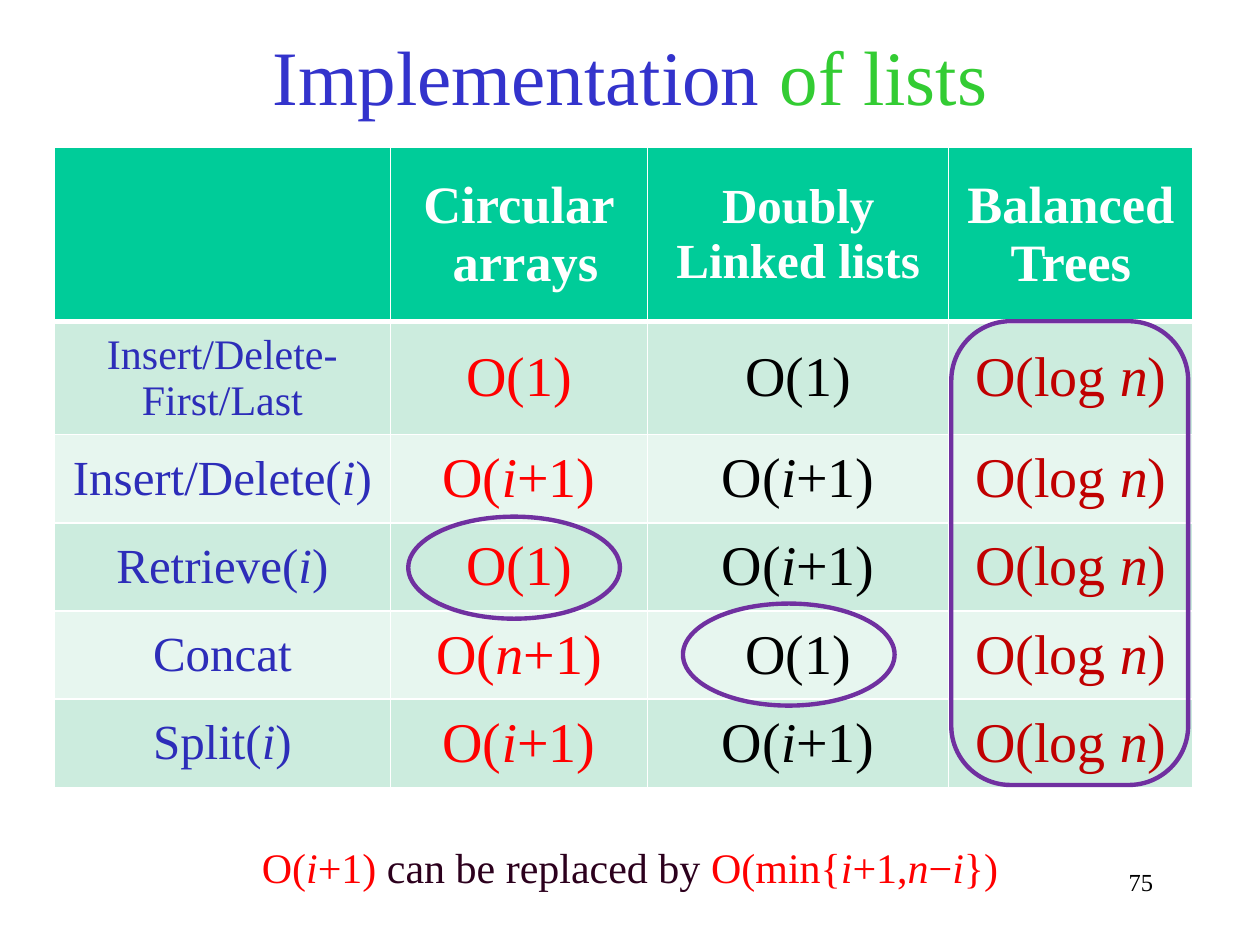
from dataclasses import dataclass

from lxml.etree import SubElement
from pptx import Presentation
from pptx.dml.color import RGBColor
from pptx.enum.shapes import MSO_SHAPE
from pptx.enum.text import MSO_ANCHOR, PP_ALIGN
from pptx.oxml.ns import qn
from pptx.util import Inches, Pt


@dataclass(frozen=True)
class Theme:
    font: str = "Times New Roman"
    blue: str = "3333CC"
    green: str = "33CC33"
    label: str = "2D2DB9"
    red: str = "FF0000"
    dark_red: str = "C00000"
    black: str = "000000"
    plum: str = "2C001D"
    white: str = "FFFFFF"
    purple: str = "7030A0"
    header: str = "00CC99"
    bands: tuple = ("CCECDE", "E7F6EF")
    title_pt: int = 44
    cell_pt: int = 32
    header_pt: int = 30
    label_pt: int = 28
    note_pt: int = 24
    number_pt: int = 14


T = Theme()
prs = Presentation()
prs.slide_width, prs.slide_height = Inches(10), Inches(7.5)
s = prs.slides.add_slide(prs.slide_layouts[6])


def area(x, y, w, h):
    """Turn percentages of the slide into lengths."""
    W, H = prs.slide_width, prs.slide_height
    return [int(v * side / 100) for v, side in ((x, W), (y, H), (w, W), (h, H))]


def add_text(p, text, size, color, bold=False):
    """Add runs: *stars* mark italics, a newline is a line break."""
    for n, line in enumerate(text.split("\n")):
        if n:
            p.add_line_break()
        for k, part in enumerate(line.split("*")):
            if part:
                r = p.add_run()
                r.text = part
                r.font.name, r.font.size = T.font, Pt(size)
                r.font.bold, r.font.italic = bold, k % 2 == 1
                r.font.color.rgb = RGBColor.from_string(color)


# Title, footnote and slide number
text_boxes = [
    ((0, 2.27, 100, 11.2), PP_ALIGN.CENTER, MSO_ANCHOR.MIDDLE, T.title_pt,
     [("Implementation", T.blue), (" of lists", T.green)]),
    ((0, 88.4, 100, 6.67), PP_ALIGN.CENTER, MSO_ANCHOR.MIDDLE, T.note_pt,
     [("O(*i*+1) ", T.red), ("can be replaced by ", T.plum),
      ("O(min{*i*+1,*n*−*i*})", T.red)]),
    ((71.7, 91.07, 20.8, 6.67), PP_ALIGN.RIGHT, MSO_ANCHOR.TOP, T.number_pt,
     [("75", T.black)]),
]
for place, align, anchor, size, parts in text_boxes:
    tf = s.shapes.add_textbox(*area(*place)).text_frame
    tf.word_wrap, tf.vertical_anchor = True, anchor
    p = tf.paragraphs[0]
    p.alignment = align
    for text, color in parts:
        add_text(p, text, size, color)

# Cost table
LOG = "O(log *n*)"
rows = [
    ["", "Circular\n arrays", "Doubly Linked lists", "Balanced Trees"],
    ["Insert/Delete-\nFirst/Last", "O(1)", "O(1)", LOG],
    ["Insert/Delete(*i*)", "O(*i*+1)", "O(*i*+1)", LOG],
    ["Retrieve(*i*)", "O(1)", "O(*i*+1)", LOG],
    ["Concat", "O(*n*+1)", "O(1)", LOG],
    ["Split(*i*)", "O(*i*+1)", "O(*i*+1)", LOG],
]
col_shares = [26.7, 20.4, 23.9, 19.4]
row_shares = [18.4, 11.47] + [9.33] * 4
column_colors = [T.label, T.red, T.black, T.dark_red]
small_sizes = {(0, 2): T.label_pt, (1, 0): T.note_pt}

table = s.shapes.add_table(
    len(rows), len(col_shares),
    *area(4.3, 15.6, sum(col_shares), sum(row_shares))).table
for col, share in zip(table.columns, col_shares):
    col.width = int(prs.slide_width * share / 100)
for row, share in zip(table.rows, row_shares):
    row.height = int(prs.slide_height * share / 100)

for i, row in enumerate(rows):
    for j, text in enumerate(row):
        cell = table.cell(i, j)
        cell.vertical_anchor = MSO_ANCHOR.MIDDLE

        # White borders, thicker under the header
        for side in "LRTB":
            thick = (i, side) in ((0, "B"), (1, "T"))
            ln = SubElement(cell._tc.get_or_add_tcPr(), qn(f"a:ln{side}"),
                            w=str(Pt(3 if thick else 1)))
            SubElement(SubElement(ln, qn("a:solidFill")), qn("a:srgbClr"), val=T.white)
        cell.fill.solid()
        fill = T.bands[(i - 1) % 2] if i else T.header
        cell.fill.fore_color.rgb = RGBColor.from_string(fill)

        usual = T.header_pt if i == 0 else T.label_pt if j == 0 else T.cell_pt
        p = cell.text_frame.paragraphs[0]
        p.alignment = PP_ALIGN.CENTER
        add_text(p, text, small_sizes.get((i, j), usual),
                 column_colors[j] if i else T.white, bold=i == 0)

# Rings around the best costs
rings = [
    (MSO_SHAPE.OVAL, (32.4, 54.67, 16.8, 10.8)),
    (MSO_SHAPE.ROUNDED_RECTANGLE, (75.5, 34, 18.8, 49.07)),
    (MSO_SHAPE.OVAL, (54.2, 63.87, 16.8, 10.8)),
]
for kind, place in rings:
    sp = s.shapes.add_shape(kind, *area(*place))
    sp.shadow.inherit = False
    sp.fill.background()
    sp.line.color.rgb = RGBColor.from_string(T.purple)
    sp.line.width = Pt(2.5)
    if kind == MSO_SHAPE.ROUNDED_RECTANGLE:
        sp.adjustments[0] = 0.25

prs.save("out.pptx")
